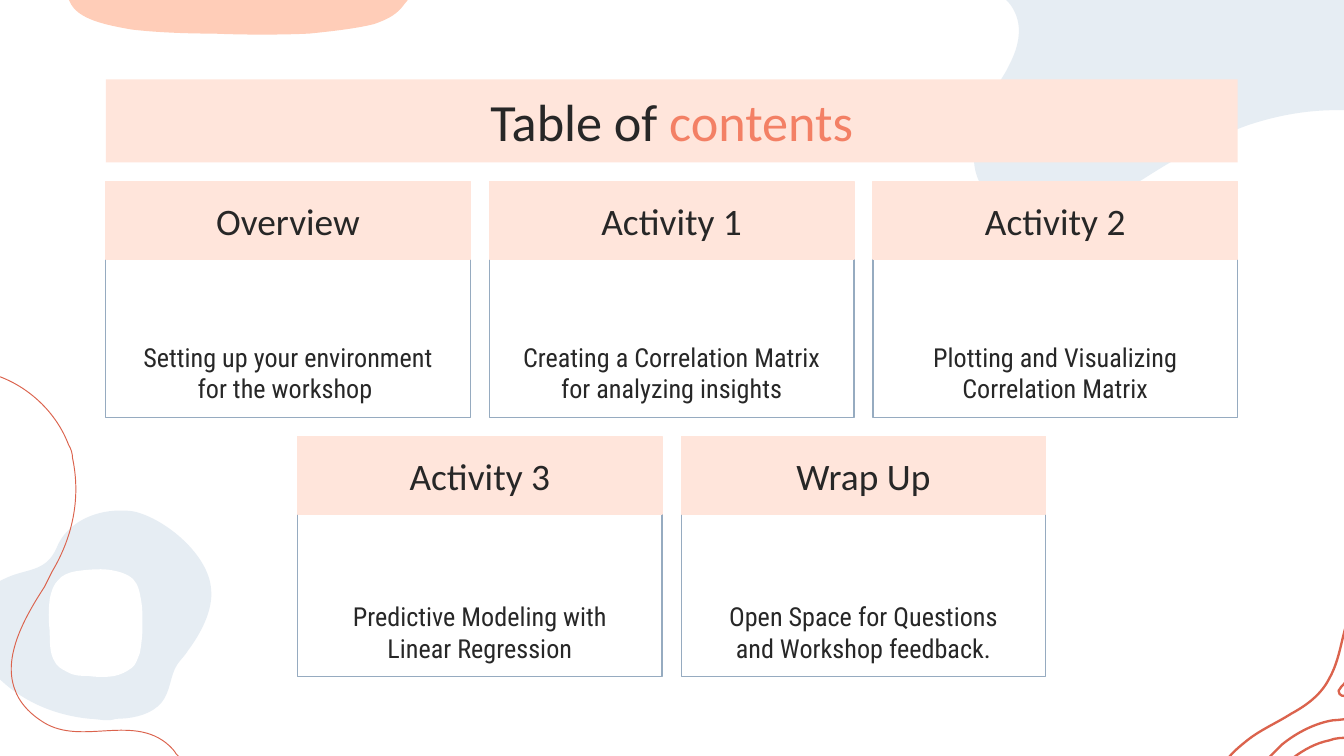
from lxml.etree import SubElement as Sub
from pptx import Presentation
from pptx.dml.color import RGBColor as Rgb
from pptx.enum.shapes import MSO_SHAPE as Shape
from pptx.enum.text import MSO_ANCHOR as Anchor, PP_ALIGN as Align
from pptx.oxml.ns import qn
from pptx.util import Cm, Pt

HUES = {
    "ink": "272727", "coral": "F38065", "blush": "FFE5DB", "peach": "FFCDB8",
    "mist": "E6EDF3", "steel": "96ABC0", "red": "DB634D", "white": "FFFFFF",
}
INCH = Cm(2.54)  # unit of the curve points

# Each curve: a start point, then lines (x, y) or Bezier arcs (two controls, end)
CLOUD = [
    (10.04, -0.08), (7.37, -0.06),
    (7.49, -0.04, 7.57, 0.08, 7.58, 0.2), (7.59, 0.32, 7.54, 0.43, 7.48, 0.54),
    (7.42, 0.64, 7.35, 0.74, 7.31, 0.84), (7.27, 0.93, 7.25, 1.02, 7.25, 1.11),
    (7.24, 1.2, 7.25, 1.28, 7.29, 1.36), (7.35, 1.5, 7.5, 1.6, 7.65, 1.62),
    (7.68, 1.63, 7.72, 1.63, 7.76, 1.63), (7.87, 1.63, 7.99, 1.6, 8.1, 1.55),
    (8.25, 1.49, 8.38, 1.41, 8.51, 1.33), (8.76, 1.17, 9.01, 1.03, 9.29, 0.93),
    (9.5, 0.86, 9.72, 0.82, 9.94, 0.82), (9.97, 0.82, 10, 0.82, 10.04, 0.82),
]
PEBBLE = [
    (0.47, -0.18),
    (0.45, -0.27, 0.45, -0.4, 0.49, -0.48), (0.53, -0.56, 0.59, -0.62, 0.71, -0.67),
    (0.84, -0.71, 1.02, -0.74, 1.26, -0.76), (1.49, -0.77, 1.88, -0.78, 2.14, -0.77),
    (2.4, -0.76, 2.67, -0.73, 2.82, -0.68), (2.98, -0.63, 3.02, -0.55, 3.07, -0.48),
    (3.11, -0.4, 3.11, -0.31, 3.1, -0.23), (3.09, -0.14, 3.07, -0.03, 3.01, 0.03),
    (2.96, 0.1, 2.9, 0.14, 2.78, 0.18), (2.66, 0.21, 2.5, 0.23, 2.3, 0.25),
    (2.1, 0.26, 1.81, 0.26, 1.59, 0.25), (1.37, 0.25, 1.15, 0.24, 0.98, 0.22),
    (0.81, 0.19, 0.67, 0.16, 0.58, 0.09), (0.5, 0.03, 0.49, -0.08, 0.47, -0.18),
]
RING = [
    (0.89, 3.8),
    (0.69, 3.8, 0.49, 3.9, 0.42, 4.08), (0.34, 4.26, 0.2, 4.23, 0.05, 4.3),
    (-0.06, 4.35, -0.17, 4.42, -0.21, 4.54), (-0.26, 4.67, -0.19, 4.82, -0.12, 4.92),
    (0.07, 5.18, 0.36, 5.32, 0.67, 5.35), (0.71, 5.35, 0.75, 5.36, 0.79, 5.36),
    (0.81, 5.36, 0.84, 5.36, 0.86, 5.35), (0.96, 5.35, 1.09, 5.33, 1.17, 5.26),
    (1.26, 5.19, 1.26, 5.07, 1.3, 4.98), (1.32, 4.93, 1.37, 4.89, 1.4, 4.84),
    (1.49, 4.72, 1.59, 4.54, 1.57, 4.38), (1.55, 4.13, 1.24, 3.87, 1.01, 3.81),
    (0.97, 3.8, 0.93, 3.8, 0.89, 3.8),
]
HOLE = [
    (0.37, 4.7),
    (0.36, 4.62, 0.36, 4.53, 0.37, 4.46), (0.38, 4.4, 0.4, 4.35, 0.43, 4.32),
    (0.46, 4.28, 0.51, 4.26, 0.57, 4.25), (0.64, 4.24, 0.74, 4.23, 0.81, 4.24),
    (0.88, 4.25, 0.95, 4.27, 0.99, 4.31), (1.03, 4.35, 1.04, 4.41, 1.05, 4.47),
    (1.06, 4.52, 1.06, 4.59, 1.06, 4.66), (1.06, 4.73, 1.05, 4.81, 1.04, 4.86),
    (1.02, 4.91, 1.01, 4.95, 0.98, 4.97), (0.94, 5, 0.9, 5.02, 0.85, 5.03),
    (0.8, 5.04, 0.72, 5.04, 0.66, 5.03), (0.6, 5.03, 0.55, 5.03, 0.5, 5),
    (0.46, 4.98, 0.42, 4.96, 0.4, 4.91), (0.37, 4.86, 0.37, 4.77, 0.37, 4.7),
]
THREAD = [
    (1.75, 5.75),
    (1.62, 5.79, 1.47, 5.76, 1.37, 5.67), (1.35, 5.65, 1.33, 5.63, 1.31, 5.61),
    (1.3, 5.59, 1.28, 5.57, 1.26, 5.55), (1.12, 5.42, 0.94, 5.43, 0.77, 5.44),
    (0.6, 5.45, 0.44, 5.46, 0.3, 5.36), (0.21, 5.3, 0.14, 5.22, 0.11, 5.13),
    (0.02, 4.89, 0.18, 4.6, 0.33, 4.37),
    (0.35, 4.33, 0.37, 4.29, 0.39, 4.25), (0.55, 3.98, 0.6, 3.69, 0.54, 3.41),
    (0.54, 3.38, 0.53, 3.34, 0.51, 3.31), (0.42, 3.07, 0.21, 2.87, -0.04, 2.79),
]
WAVES = [
    [(9.44, 5.64), (9.48, 5.6, 9.51, 5.57, 9.54, 5.54),
     (9.65, 5.45, 9.79, 5.38, 9.92, 5.36), (9.96, 5.36, 10, 5.35, 10.04, 5.35)],
    [(9.62, 5.64), (9.7, 5.58, 9.79, 5.53, 9.89, 5.51),
     (9.94, 5.49, 9.99, 5.49, 10.04, 5.49)],
    [(10.04, 5.05), (10.02, 5.06, 10.01, 5.08, 10, 5.09),
     (9.99, 5.1, 9.97, 5.12, 9.96, 5.14), (9.96, 5.18, 10, 5.19, 10.04, 5.17)],
    [(9.14, 5.64), (9.18, 5.59, 9.23, 5.55, 9.28, 5.51),
     (9.38, 5.43, 9.5, 5.38, 9.61, 5.31), (9.72, 5.25, 9.83, 5.17, 9.89, 5.05),
     (9.97, 4.91, 9.98, 4.75, 10.03, 4.61), (10.03, 4.6, 10.04, 4.6, 10.04, 4.59)],
]


class Deck:
    head, body = "Calibri", "Roboto Condensed"

    def __init__(self, wide, high):
        self.prs = Presentation()
        self.prs.slide_width, self.prs.slide_height = Cm(wide), Cm(high)
        self.slide = self.prs.slides.add_slide(self.prs.slide_layouts[6])

    def hue(self, name):
        return Rgb.from_string(HUES[name])

    def paint(self, item, fill=None, line=None, width=0.75):
        item.shadow.inherit = False
        if fill:
            item.fill.solid()
            item.fill.fore_color.rgb = self.hue(fill)
        else:
            item.fill.background()
        if line:
            item.line.color.rgb = self.hue(line)
            item.line.width = Pt(width)
        else:
            item.line.fill.background()

    def curve(self, parts, fill=None, line=None, width=0.75):
        parts = [[round(n * INCH) for n in part] for part in parts]
        pen = self.slide.shapes.build_freeform(*parts[0])
        pen.add_line_segments([part[-2:] for part in parts[1:]], close=bool(fill))
        item = pen.convert_to_shape()
        # Bend each segment that has control points
        legs = list(item._element.iter(qn("a:lnTo")))
        for leg, part in zip(legs, parts[1:]):
            if len(part) == 6:
                arc = leg.makeelement(qn("a:cubicBezTo"))
                for x, y in zip(part[::2], part[1::2]):
                    Sub(arc, qn("a:pt"), x=str(x - item.left), y=str(y - item.top))
                leg.getparent().replace(leg, arc)
        self.paint(item, fill, line, width)

    def box(self, x, y, w, h, runs, size, font, fill, line=None,
            side=0.25, anchor=Anchor.MIDDLE):
        item = self.slide.shapes.add_shape(Shape.RECTANGLE, Cm(x), Cm(y), Cm(w), Cm(h))
        self.paint(item, fill, line)
        frame = item.text_frame
        frame.word_wrap = True
        frame.vertical_anchor = anchor
        frame.margin_left = frame.margin_right = Cm(side)
        frame.margin_top = frame.margin_bottom = Cm(0.25)
        para = frame.paragraphs[0]
        para.alignment = Align.CENTER
        for text, tone in runs:
            run = para.add_run()
            run.text = text
            run.font.name, run.font.size = font, Pt(size)
            run.font.color.rgb = self.hue(tone)

    def card(self, x, y, w, h, name, note):
        self.box(x, y + 1.44, w, h, [(note, "ink")], 14, self.body, "white", "steel",
                 side=0.51, anchor=Anchor.BOTTOM)
        self.box(x, y, w, 1.47, [(name, "ink")], 20, self.head, "blush", "blush")


def main():
    deck = Deck(25.4, 14.29)

    # Backdrop
    deck.curve(CLOUD, "mist")
    for wave in WAVES:
        deck.curve(wave, line="red", width=1.25)
    deck.curve(PEBBLE, "peach")
    deck.curve(RING, "mist")
    deck.curve(THREAD, line="red", width=0.5)
    deck.curve(HOLE, "white")

    # Cards: three above, two centred below
    left, wide, pitch = 2, 6.89, 7.25
    rows = [
        (left, 3.43, 3.02, [
            ("Overview", "Setting up your environment for the workshop "),
            ("Activity 1", "Creating a Correlation Matrix for analyzing insights"),
            ("Activity 2", "Plotting and Visualizing Correlation Matrix")]),
        (left + pitch / 2, 8.25, 3.1, [
            ("Activity 3", "Predictive Modeling with Linear Regression"),
            ("Wrap Up", "Open Space for Questions and Workshop feedback.")]),
    ]
    for start, top, high, cards in rows:
        for i, (name, note) in enumerate(cards):
            deck.card(start + i * pitch, top, wide, high, name, note)

    # Title
    deck.box(left, 1.5, 2 * pitch + wide, 1.57,
             [("Table of ", "ink"), ("contents", "coral")], 28, deck.head, "blush")

    deck.prs.save("out.pptx")


if __name__ == "__main__":
    main()
